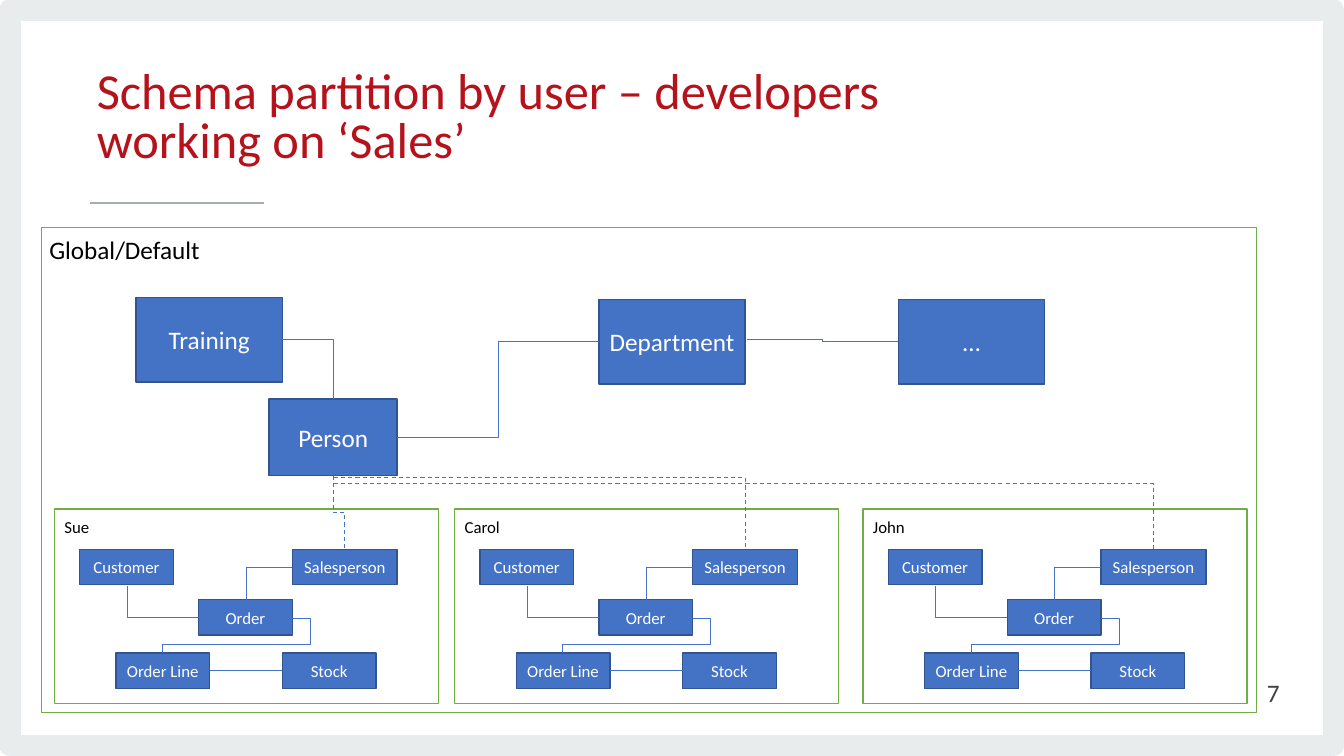
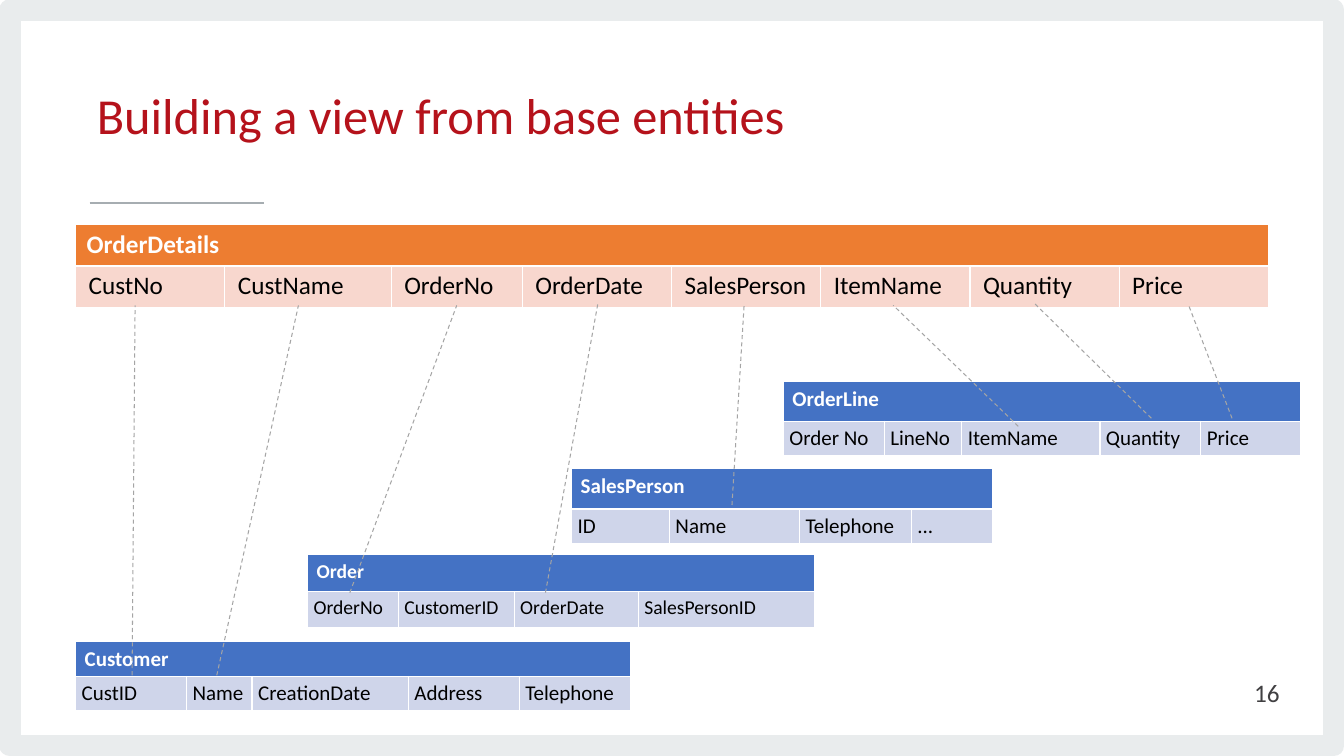
from pptx import Presentation
from pptx.dml.color import RGBColor
from pptx.enum.dml import MSO_LINE
from pptx.enum.shapes import MSO_CONNECTOR, MSO_SHAPE
from pptx.enum.text import MSO_ANCHOR, PP_ALIGN
from pptx.oxml.ns import qn
from pptx.util import Inches, Pt
from lxml.etree import SubElement

FONT = "Calibri"
RED = RGBColor(0xB5, 0x12, 0x1B)
FRAME = RGBColor(0xE9, 0xEC, 0xED)
RULE = RGBColor(0xA6, 0xAD, 0xB1)
DARK = RGBColor(0x41, 0x40, 0x42)
BLACK = RGBColor(0, 0, 0)
WHITE = RGBColor(0xFF, 0xFF, 0xFF)
BLUE = RGBColor(0x44, 0x72, 0xC4)
NAVY = RGBColor(0x32, 0x54, 0x91)
GREEN = RGBColor(0x70, 0xAD, 0x47)
GREY = RGBColor(0xA5, 0xA5, 0xA5)
ORANGE = RGBColor(0xED, 0x7D, 0x31)
PEACH = RGBColor(0xF8, 0xD7, 0xCE)
PALE = RGBColor(0xCF, 0xD5, 0xEA)

TITLES = [
    ("Schema partition by user – developers working on ‘Sales’", "7"),
    ("Building a view from base entities", "16"),
]

GLOBAL = [
    ("Person", 2.67, 3.96, 1.27, 0.76),
    ("Department", 5.94, 2.97, 1.45, 0.84),
    ("Training", 1.35, 2.95, 1.45, 0.84),
    ("…", 8.91, 2.97, 1.45, 0.84),
]

USERS = [("Sue", 0.54), ("Carol", 4.51), ("John", 8.56)]
PANEL_TOP = 5.05
ENTITIES = [
    ("Customer", 0.25, 0.4, 0.93),
    ("Order", 1.43, 0.9, 0.93),
    ("Order Line", 0.61, 1.43, 0.93),
    ("Stock", 2.26, 1.43, 0.93),
    ("Salesperson", 2.36, 0.4, 1.04),
]
BENDS = [
    ((1.43, 1.08), (0.72, 0.76), 2, ()),
    ((2.36, 0.58), (1.9, 0.9), 2, ()),
    ((2.36, 1.08), (1.07, 1.43), 4, (-0.14, 0.75)),
]

VIEWS = [
    dict(name="OrderDetails", left=0.75, top=2.23, size=18, rows=(0.41, 0.41),
         head=ORANGE, body=PEACH, pads=(0.11, 0.13),
         cols=[("CustNo", 1.48), ("CustName", 1.65), ("OrderNo", 1.3),
               ("OrderDate", 1.48), ("SalesPerson", 1.48), ("ItemName", 1.48),
               ("Quantity", 1.48), ("Price", 1.48)]),
    dict(name="Customer", left=0.75, top=6.36, size=15, rows=(0.34, 0.34),
         cols=[("CustID", 1.1), ("Name", 0.65), ("CreationDate", 1.55),
               ("Address", 1.1), ("Telephone", 1.1)]),
    dict(name="SalesPerson", left=5.67, top=4.65, size=15, rows=(0.4, 0.34),
         cols=[("ID", 0.97), ("Name", 1.29), ("Telephone", 1.11), ("...", 0.81)]),
    dict(name="OrderLine", left=7.77, top=3.78, size=15, rows=(0.4, 0.34),
         cols=[("Order No", 1), ("LineNo", 0.77), ("ItemName", 1.37),
               ("Quantity", 1), ("Price", 0.99)]),
    dict(name="Order", left=3.05, top=5.5, size=14, rows=(0.37, 0.36),
         cols=[("OrderNo", 0.9), ("CustomerID", 1.15), ("OrderDate", 1.23),
               ("SalesPersonID", 1.75)]),
]

LINKS = [
    ((1.31, 6.7), (1.34, 3.03)),
    ((2.15, 6.7), (2.96, 3.03)),
    ((3.47, 5.88), (4.53, 3.03)),
    ((5.41, 5.88), (5.93, 3.01)),
    ((7.26, 5.01), (7.38, 3.03)),
    ((10.1, 4.23), (8.86, 3.03)),
    ((11.42, 4.15), (10.26, 3.01)),
    ((12.22, 4.15), (11.79, 3.03)),
]


def write(frame, text, size=18, color=BLACK, bold=False, align=PP_ALIGN.LEFT,
          anchor=MSO_ANCHOR.TOP, wrap=True):
    frame.word_wrap = wrap
    frame.vertical_anchor = anchor
    para = frame.paragraphs[0]
    para.alignment = align
    run = para.add_run()
    run.text = text
    font = run.font
    font.name, font.size, font.bold = FONT, Pt(size), bold
    font.color.rgb = color
    return para


def label(slide, text, left, top, width, height, **form):
    box = slide.shapes.add_textbox(*map(Inches, (left, top, width, height)))
    write(box.text_frame, text, **form)


def block(slide, left, top, width, height, fill=None, line=GREEN, weight=1):
    rect = slide.shapes.add_shape(
        MSO_SHAPE.RECTANGLE, *map(Inches, (left, top, width, height)))
    rect.shadow.inherit = False
    if fill is None:
        rect.fill.background()
    else:
        rect.fill.solid()
        rect.fill.fore_color.rgb = fill
    rect.line.color.rgb = line
    rect.line.width = Pt(weight)
    return rect


def entity(slide, text, left, top, width, height, size):
    rect = block(slide, left, top, width, height, fill=BLUE, line=NAVY)
    write(rect.text_frame, text, size=size, color=WHITE, wrap=False,
          align=PP_ALIGN.CENTER, anchor=MSO_ANCHOR.MIDDLE)
    return rect


def link(slide, start, end, kind=MSO_CONNECTOR.STRAIGHT, color=BLUE,
         weight=0.5, dash=False):
    wire = slide.shapes.add_connector(kind, *map(Inches, (*start, *end)))
    wire.line.color.rgb = color
    wire.line.width = Pt(weight)
    if dash:
        wire.line.dash_style = MSO_LINE.DASH
    SubElement(wire.element.spPr, qn("a:effectLst"))
    return wire


def bend(slide, start, end, turns=3, ratios=(), down=False, **form):
    if down:
        (x1, y1), (x2, y2) = start, end
        mid_x, mid_y = (x1 + x2) / 2, (y1 + y2) / 2
        half_w, half_h = (x2 - x1) / 2, (y2 - y1) / 2
        start = mid_x - half_h, mid_y + half_w
        end = mid_x + half_h, mid_y - half_w
    wire = link(slide, start, end, MSO_CONNECTOR.ELBOW, **form)
    props = wire.element.spPr
    if down:
        props.find(qn("a:xfrm")).set("rot", str(90 * 60000))
    shape = props.find(qn("a:prstGeom"))
    shape.set("prst", f"bentConnector{turns}")
    guides = shape.find(qn("a:avLst"))
    for order, ratio in enumerate(ratios, 1):
        SubElement(guides, qn("a:gd"), name=f"adj{order}",
                   fmla=f"val {round(ratio * 100000)}")


def panel(slide, user, left):
    block(slide, left, PANEL_TOP, 3.81, 1.93, fill=WHITE)
    label(slide, user, left, PANEL_TOP + 0.03, 1.67, 0.3, size=12)
    parts = {name: entity(slide, name, left + x, PANEL_TOP + y, width, 0.35, 12)
             for name, x, y, width in ENTITIES}
    for start, end, turns, ratios in BENDS:
        bend(slide, *((left + x, PANEL_TOP + y) for x, y in (start, end)),
             turns=turns, ratios=ratios)
    wire = link(slide, (left + 1.54, 6.65), (left + 2.26, 6.65))
    wire.begin_connect(parts["Order Line"], 3)
    wire.end_connect(parts["Stock"], 1)


def grid(slide, name, left, top, size, rows, cols, head=BLUE, body=PALE,
         pads=(0.09, 0.06)):
    width = sum(col for _, col in cols)
    table = slide.shapes.add_table(
        2, len(cols), *map(Inches, (left, top, width, sum(rows)))).table
    for row, height in zip(table.rows, rows):
        row.height = Inches(height)
    for col, (_, size_in) in zip(table.columns, cols):
        col.width = Inches(size_in)
    table.cell(0, 0).merge(table.cell(0, len(cols) - 1))
    cells = [(0, 0, name)] + [(1, at, text) for at, (text, _) in enumerate(cols)]
    for row, at, text in cells:
        cell = table.cell(row, at)
        cell.fill.solid()
        cell.fill.fore_color.rgb = body if row else head
        cell.margin_left = cell.margin_right = Inches(pads[row])
        cell.margin_top = cell.margin_bottom = Inches(0.04 if row else 0.05)
        write(cell.text_frame, text, size=size, bold=not row,
              color=BLACK if row else WHITE)


def page(deck, title, number):
    slide = deck.slides.add_slide(deck.slide_layouts[5])
    head = slide.shapes.title
    head.left, head.top, head.width, head.height = map(
        Inches, (0.86, 0.52, 8.79, 1.34))
    para = write(head.text_frame, title, size=36, color=RED,
                 anchor=MSO_ANCHOR.MIDDLE)
    para.line_spacing, para.space_before = Pt(34.7), Pt(7.5)
    label(slide, number, 9.79, 6.67, 3, 0.4, color=DARK,
          align=PP_ALIGN.RIGHT, anchor=MSO_ANCHOR.MIDDLE)
    return slide


def share(slide):
    parts = [block(slide, 0.1, 0.1, 13.13, 7.3, line=FRAME, weight=15.11),
             link(slide, (0.89, 2.01), (2.62, 2.01), color=RULE, weight=1.33)]
    for part in parts:
        slide.slide_layout.shapes.element.append(part.element)


def schema(slide):
    block(slide, 0.41, 2.26, 12.05, 4.81, fill=WHITE)
    label(slide, "Global/Default", 0.39, 2.28, 2.28, 0.4)
    for item in GLOBAL:
        entity(slide, *item, size=18)
    bend(slide, (3.94, 4.34), (5.94, 3.39))
    bend(slide, (2.8, 3.37), (3.31, 3.96), turns=2)
    bend(slide, (7.41, 3.37), (8.91, 3.39))
    for user, left in USERS:
        panel(slide, user, left)
    dashed = dict(weight=0.75, dash=True)
    bend(slide, (3.31, 4.72), (3.42, 5.45), down=True, **dashed)
    bend(slide, (3.31, 4.74), (7.39, 5.45), turns=2, **dashed)
    bend(slide, (3.31, 4.8), (11.44, 5.45), turns=2, **dashed)


def views(slide):
    for view in VIEWS:
        grid(slide, **view)
    for start, end in LINKS:
        link(slide, start, end, color=GREY, weight=0.75, dash=True)


def main():
    deck = Presentation()
    deck.slide_width, deck.slide_height = Inches(13.33), Inches(7.5)
    first, second = [page(deck, *title) for title in TITLES]
    share(first)
    schema(first)
    views(second)
    deck.save("out.pptx")


if __name__ == "__main__":
    main()
